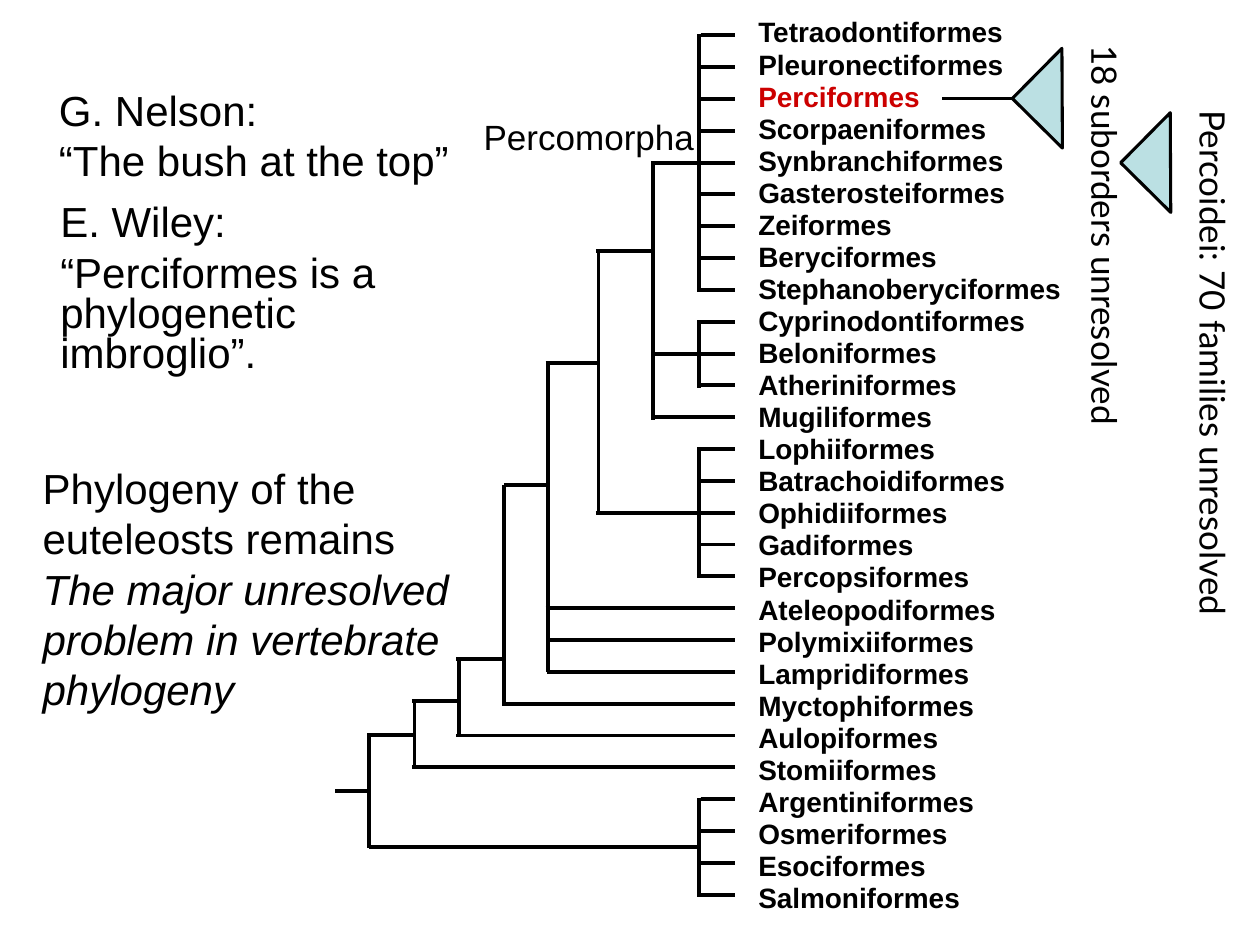
"""Build a slide with the phylogeny of the euteleost fishes."""
from lxml.etree import SubElement
from pptx import Presentation
from pptx.dml.color import RGBColor
from pptx.enum.shapes import MSO_CONNECTOR, MSO_SHAPE
from pptx.enum.text import MSO_AUTO_SIZE
from pptx.oxml.ns import qn
from pptx.util import Inches, Pt

BLACK = RGBColor(0x00, 0x00, 0x00)
RED = RGBColor(0xCC, 0x00, 0x00)
PALE_BLUE = RGBColor(0xBB, 0xE0, 0xE3)

TIP_X, TIP_TOP, TIP_STEP = 5.83, 0.28, 6.82 / 27
LABEL_X, LABEL_TOP, LABEL_STEP, LABEL_H = 5.92, 0.07, 6.87 / 27, 0.37
HIGHLIGHT = "Perciformes"

# name, x where its branch starts, label width
TAXA = [
    ("Tetraodontiformes", 5.56, 2.2),
    ("Pleuronectiformes", 5.56, 2.18),
    ("Perciformes", 5.56, 1.52),
    ("Scorpaeniformes", 5.56, 2.05),
    ("Synbranchiformes", 5.17, 2.18),
    ("Gasterosteiformes", 5.56, 2.2),
    ("Zeiformes", 5.56, 1.3),
    ("Beryciformes", 5.56, 1.65),
    ("Stephanoberyciformes", 5.56, 2.64),
    ("Cyprinodontiformes", 5.56, 2.36),
    ("Beloniformes", 5.17, 1.65),
    ("Atheriniformes", 5.56, 1.81),
    ("Mugiliformes", 5.18, 1.62),
    ("Lophiiformes", 5.56, 1.64),
    ("Batrachoidiformes", 5.56, 2.2),
    ("Ophidiiformes", 4.73, 1.74),
    ("Gadiformes", 5.56, 1.47),
    ("Percopsiformes", 5.53, 1.91),
    ("Ateleopodiformes", 4.33, 2.12),
    ("Polymixiiformes", 4.34, 1.95),
    ("Lampridiformes", 4.34, 1.91),
    ("Myctophiformes", 4.01, 1.95),
    ("Aulopiformes", 3.62, 1.67),
    ("Stomiiformes", 3.27, 1.65),
    ("Argentiniformes", 5.56, 1.95),
    ("Osmeriformes", 5.56, 1.74),
    ("Esociformes", 5.56, 1.57),
    ("Salmoniformes", 5.56, 1.84),
]
NODES = [
    (5.55, 0.27, 2.32), (5.55, 2.54, 3.08), (5.55, 3.55, 4.57), (5.55, 6.33, 7.12),
    (5.18, 1.3, 3.33), (4.75, 1.98, 4.07), (4.35, 2.88, 5.33), (4, 3.85, 5.6),
    (3.64, 5.22, 5.85), (3.29, 5.55, 6.1), (2.93, 5.82, 6.73),
]
STEMS = [
    (1.99, 4.73, 5.18), (2.88, 4.33, 4.74), (3.85, 4, 4.35), (5.23, 3.62, 3.99),
    (5.56, 3.27, 3.63), (5.83, 2.93, 3.28), (6.28, 2.66, 2.91), (6.72, 2.93, 5.54),
]
TRIANGLES = [(8.15, 0.5), (9.01, 1.01)]
SIDE_NOTES = [
    ("18 suborders unresolved", (8.46, 0.26, 0.53, 3.36)),
    ("Percoidei: 70 families unresolved", (9.32, 0.78, 0.53, 4.4)),
]
NELSON = [[("G. Nelson:", False)], [("“The bush at the top”", False)]]
WILEY = [[("E. Wiley:", False)],
         [("“Perciformes is a phylogenetic imbroglio”.", False)]]
SUMMARY = [[("Phylogeny of the euteleosts remains", False),
            (" The major unresolved problem in vertebrate phylogeny", True)]]


def add_line(s, x1, y1, x2, y2, width=2.25):
    line = s.shapes.add_connector(
        MSO_CONNECTOR.STRAIGHT, Inches(x1), Inches(y1), Inches(x2), Inches(y2))
    line.line.color.rgb = BLACK
    line.line.width = Pt(width)
    SubElement(line._element.spPr, qn("a:effectLst"))


def add_text(s, box, paragraphs, size, font="Arial", color=BLACK, bold=False,
             wrap=False, spacing=None, before=None):
    sp = s.shapes.add_textbox(*map(Inches, box))
    tf = sp.text_frame
    tf.word_wrap = wrap
    tf.auto_size = MSO_AUTO_SIZE.SHAPE_TO_FIT_TEXT
    for i, runs in enumerate(paragraphs):
        p = tf.add_paragraph() if i else tf.paragraphs[0]
        if spacing:
            p.line_spacing = spacing
        if before and i:
            p.space_before = Pt(before)
        for text, italic in runs:
            r = p.add_run()
            r.text = text
            r.font.size = Pt(size)
            r.font.name = font
            r.font.color.rgb = color
            r.font.bold = bold
            r.font.italic = italic
    return tf


def add_triangle(s, x, y):
    sp = s.shapes.add_shape(
        MSO_SHAPE.RIGHT_TRIANGLE, Inches(x), Inches(y), Inches(0.56), Inches(0.56))
    sp.rotation = 44.7
    sp.shadow.inherit = False
    sp.fill.solid()
    sp.fill.fore_color.rgb = PALE_BLUE
    sp.line.color.rgb = BLACK
    sp.line.width = Pt(1.75)


def add_side_note(s, text, box):
    tf = add_text(s, box, [[(text, False)]], 20, font="Lato")
    tf.margin_left = tf.margin_right = Inches(0.05)
    tf.margin_top = tf.margin_bottom = Inches(0.1)
    tf._txBody.bodyPr.set("vert", "eaVert")


def main():
    prs = Presentation()
    prs.slide_width, prs.slide_height = Inches(10), Inches(7.5)
    s = prs.slides.add_slide(prs.slide_layouts[6])

    for x, top, bottom in NODES:
        add_line(s, x, top, x, bottom)
    for y, left, right in STEMS:
        add_line(s, left, y, right, y)
    for i, (name, start, width) in enumerate(TAXA):
        y = TIP_TOP + i * TIP_STEP
        add_line(s, start, y, TIP_X, y)
        add_text(s, (LABEL_X, LABEL_TOP + i * LABEL_STEP, width, LABEL_H),
                 [[(name, False)]], 16, bold=True,
                 color=RED if name == HIGHLIGHT else BLACK)

    for x, y in TRIANGLES:
        add_triangle(s, x, y)
    for text, box in SIDE_NOTES:
        add_side_note(s, text, box)
    add_line(s, 7.48, 0.78, 8.05, 0.78, width=1.75)

    add_text(s, (3.74, 0.87, 1.87, 0.44), [[("Percomorpha", False)]], 20)
    add_text(s, (0.37, 0.62, 3.4, 0.9), NELSON, 24)
    add_text(s, (0.38, 1.58, 3.22, 1.47), WILEY, 24, wrap=True, spacing=0.8, before=6)
    add_text(s, (0.24, 3.62, 3.55, 2.1), SUMMARY, 24, wrap=True)
    prs.save("out.pptx")


if __name__ == "__main__":
    main()
